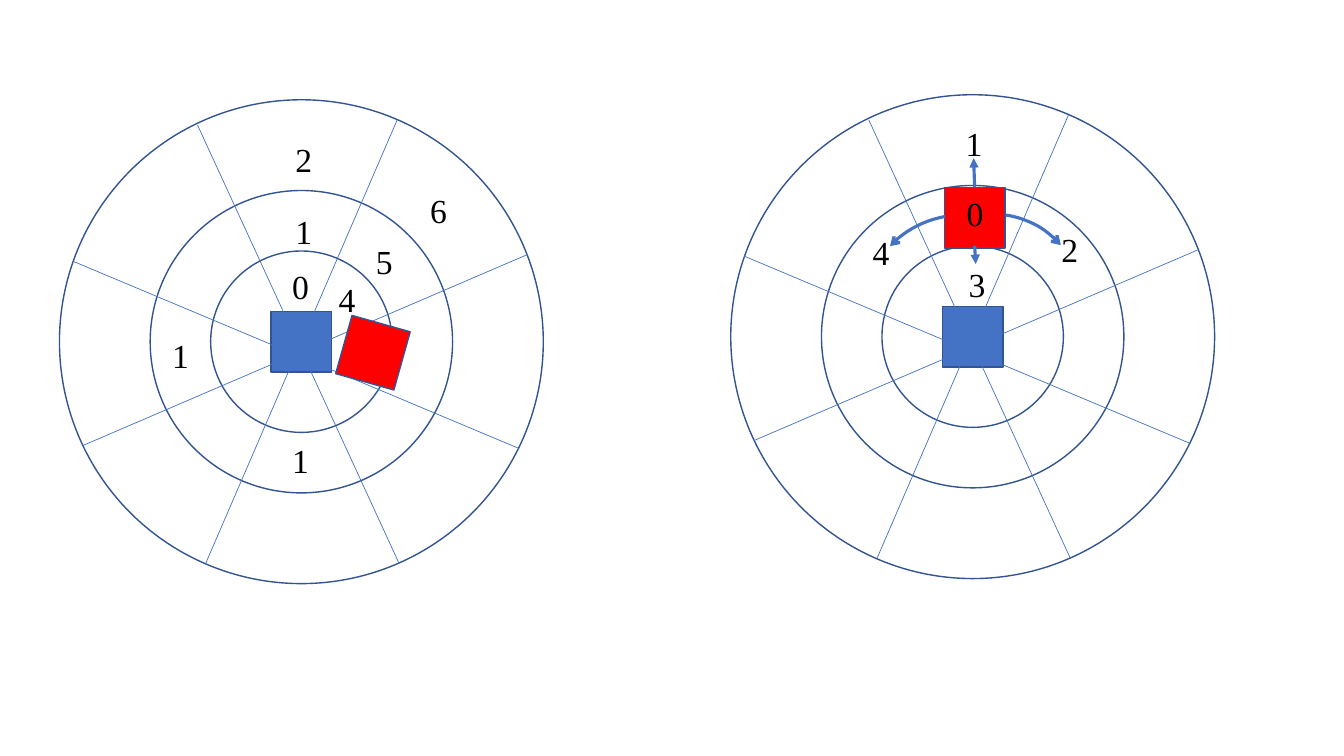
from dataclasses import dataclass

from lxml import etree
from pptx import Presentation
from pptx.dml.color import RGBColor
from pptx.enum.shapes import MSO_CONNECTOR, MSO_SHAPE
from pptx.enum.text import MSO_AUTO_SIZE
from pptx.oxml.ns import qn
from pptx.util import Pt

SQUARE = MSO_SHAPE.RECTANGLE
RING = MSO_SHAPE.OVAL
ARC = MSO_SHAPE.ARC
STRAIGHT = MSO_CONNECTOR.STRAIGHT
FIT_SHAPE = MSO_AUTO_SIZE.SHAPE_TO_FIT_TEXT


@dataclass(frozen=True)
class Theme:
    blue: RGBColor = RGBColor(0x44, 0x72, 0xC4)
    outline: RGBColor = RGBColor(0x32, 0x54, 0x91)
    red: RGBColor = RGBColor(0xFF, 0, 0)
    ink: RGBColor = RGBColor(0, 0, 0)
    font: str = "Times New Roman"
    digit_size: float = 24
    ray_width: float = 0.5
    outline_width: float = 1
    arrow_width: float = 2.25


THEME = Theme()
BLOCK_SIDE = 43.2
RING_DIAMETERS = (129.6, 216, 345.6)
RAYS = (
    (69.8, 158.4, -74.2, -154.8),
    (-156.2, 74.2, 160.6, -61.9),
    (-68.4, 158.4, 68.4, -158.4),
    (-163.4, -57.6, 155.5, 76.3),
)
LEFT_CENTER = (215.3, 244.1)
RIGHT_CENTER = (694.8, 240.5)
LEFT_DIGITS = (
    ("0", 201.6, 186.5),
    ("4", 234.7, 195.8),
    ("5", 261.4, 168.5),
    ("6", 300.2, 131.8),
    ("1", 203.8, 146.9),
    ("2", 203.8, 95.8),
    ("1", 115.9, 235.4),
    ("1", 201.6, 311),
)
RIGHT_DIGITS = (
    ("3", 684.7, 185),
    ("4", 616.3, 162),
    ("2", 751, 159.8),
    ("0", 683.3, 134.6),
    ("1", 682.6, 84.2),
)
ARC_START = 189.327


def add_outlined(slide, kind, center, size, color, width, fill=None, rotation=0):
    (x, y), (w, h) = center, size
    outlined = slide.shapes.add_shape(kind, Pt(x - w / 2), Pt(y - h / 2), Pt(w), Pt(h))
    outlined.shadow.inherit = False
    outlined.rotation = rotation
    outlined.line.color.rgb = color
    outlined.line.width = Pt(width)
    if fill is None:
        outlined.fill.background()
    else:
        outlined.fill.solid()
        outlined.fill.fore_color.rgb = fill
    return outlined


def add_block(slide, center, fill, rotation=0):
    add_outlined(slide, SQUARE, center, (BLOCK_SIDE, BLOCK_SIDE),
                 THEME.outline, THEME.outline_width, fill, rotation)


def add_arrowhead(stroke, end, style):
    etree.SubElement(stroke.line._get_or_add_ln(), qn(f"a:{end}"), type=style)


def add_segment(slide, start, finish, width):
    segment = slide.shapes.add_connector(STRAIGHT, *map(Pt, (*start, *finish)))
    segment.line.color.rgb = THEME.blue
    segment.line.width = Pt(width)
    etree.SubElement(segment._element.spPr, qn("a:effectLst"))
    return segment


def add_wheel(slide, center):
    x, y = center
    add_block(slide, center, THEME.blue)
    for diameter in RING_DIAMETERS:
        add_outlined(slide, RING, center, (diameter, diameter),
                     THEME.outline, THEME.outline_width)
    for x1, y1, x2, y2 in RAYS:
        add_segment(slide, (x + x1, y + y1), (x + x2, y + y2), THEME.ray_width)


def add_digit(slide, digit, left, top):
    label = slide.shapes.add_textbox(Pt(left), Pt(top), Pt(23), Pt(36))
    frame = label.text_frame
    frame.word_wrap = True
    frame.auto_size = FIT_SHAPE
    frame.text = digit
    font = frame.paragraphs[0].runs[0].font
    font.name = THEME.font
    font.size = Pt(THEME.digit_size)
    font.color.rgb = THEME.ink


def add_turn_arrow(slide, center, size, rotation, end):
    turn = add_outlined(slide, ARC, center, size, THEME.blue, THEME.arrow_width,
                        rotation=rotation)
    turn.adjustments[0] = ARC_START
    turn.adjustments[1] = 0
    add_arrowhead(turn, end, "arrow")


def add_step_arrow(slide, start, finish):
    step = add_segment(slide, start, finish, THEME.arrow_width)
    add_arrowhead(step, "tailEnd", "triangle")


def main():
    deck = Presentation()
    deck.slide_width, deck.slide_height = Pt(960), Pt(540)
    slide = deck.slides.add_slide(deck.slide_layouts[6])

    add_wheel(slide, LEFT_CENTER)
    add_block(slide, (266.4, 252), THEME.red, 15.7)
    add_wheel(slide, RIGHT_CENTER)
    add_block(slide, (696.2, 155.5), THEME.red)
    for digit, left, top in LEFT_DIGITS + RIGHT_DIGITS:
        add_digit(slide, digit, left, top)

    add_turn_arrow(slide, (685.1, 211), (114.5, 129.6), 260, "headEnd")
    add_turn_arrow(slide, (714.2, 213.8), (116.6, 125.3), 318.4, "tailEnd")
    add_step_arrow(slide, (696.2, 175.7), (697, 188.6))
    add_step_arrow(slide, (696.2, 133.9), (695.5, 113))

    deck.save("out.pptx")


if __name__ == "__main__":
    main()
